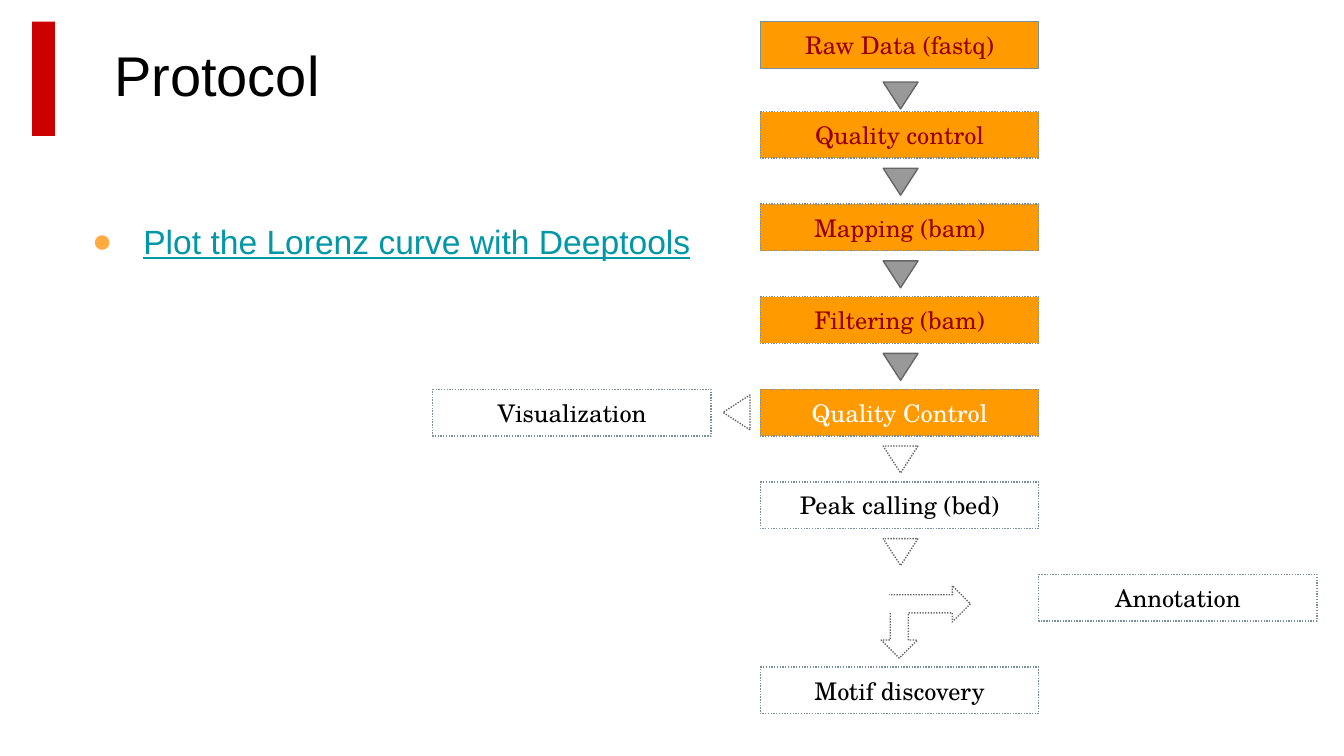
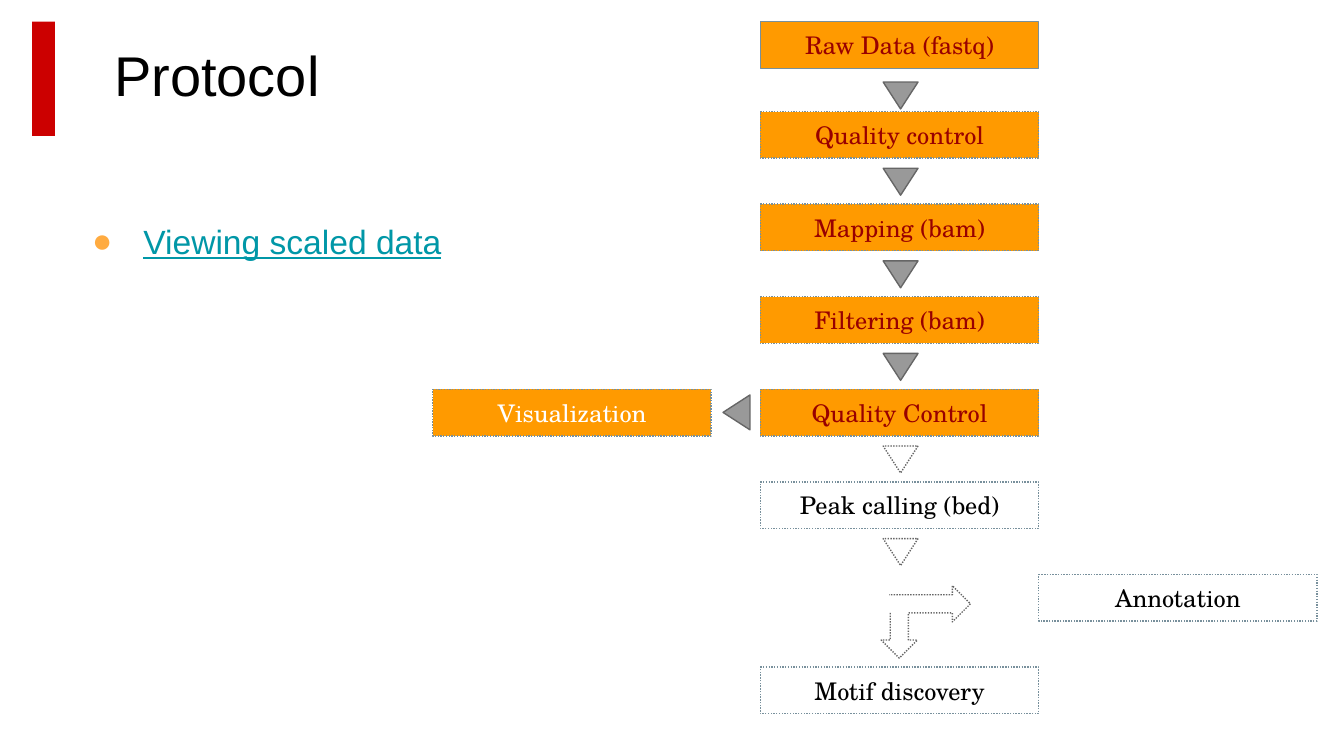
from lxml.etree import SubElement
from pptx import Presentation
from pptx.dml.color import RGBColor
from pptx.enum.dml import MSO_LINE_DASH_STYLE as Dash
from pptx.enum.shapes import MSO_SHAPE as Shape
from pptx.enum.text import MSO_ANCHOR as Anchor, PP_ALIGN as Align
from pptx.oxml.ns import qn
from pptx.util import Cm, Pt

# Colours
rgb = RGBColor.from_string
RED, ORANGE, WHITE, BLACK = "CC0000", "FF9A00", "FFFFFF", "000000"
DARK_RED, TEAL, BULLET = "980000", "0097A7", "FFAB40"
BOX_LINE, ARROW_LINE, ARROW_FILL = "78909C", "666666", "999999"

# Text formats
TITLE_FONT = {"name": "Arial", "size": Pt(30)}
BODY_FONT = {"name": "Arial", "size": Pt(18), "underline": True}
STEP_FONT = {"name": "TeX Gyre Schola", "size": Pt(13)}
WIDE_FRAME = {"margin_left": Cm(0.25), "margin_right": Cm(0.25),
              "margin_top": Cm(0.25), "margin_bottom": Cm(0.25),
              "word_wrap": True}
TITLE_FRAME = {**WIDE_FRAME, "vertical_anchor": Anchor.MIDDLE}
BODY_FRAME = {**WIDE_FRAME, "vertical_anchor": Anchor.TOP}
STEP_FRAME = {**TITLE_FRAME, "margin_top": Cm(0.13), "margin_bottom": Cm(0.13)}

# Flow chart grid, in centimetres
BOX_WIDTH, BOX_HEIGHT = 5.26, 0.88
ARROW_WIDTH, ARROW_HEIGHT = 0.66, 0.51
SPINE, ARROW_LEFT = 14.37, 16.69
FIRST_TOP = 0.41
ROWS = [2.11 + 1.75 * row for row in range(7)]
ARROW_DROP = 1.07

# Steps in working order: text, left, top
STEPS = [
    ("Raw Data (fastq)", SPINE, FIRST_TOP),
    ("Quality control", SPINE, ROWS[0]),
    ("Mapping (bam)", SPINE, ROWS[1]),
    ("Filtering (bam)", SPINE, ROWS[2]),
    ("Quality Control", SPINE, ROWS[3]),
    ("Visualization", 8.18, ROWS[3]),
    ("Peak calling (bed)", SPINE, ROWS[4]),
    ("Annotation", 19.63, ROWS[5]),
    ("Motif discovery", SPINE, ROWS[6]),
]

# Arrows: step led to, left, top, rotation
ARROWS = [
    (1, ARROW_LEFT, 1.55, 180),
    (2, ARROW_LEFT, ROWS[0] + ARROW_DROP, 180),
    (3, ARROW_LEFT, ROWS[1] + ARROW_DROP, 180),
    (4, ARROW_LEFT, ROWS[2] + ARROW_DROP, 180),
    (5, 13.59, 7.54, 270),
    (6, ARROW_LEFT, ROWS[3] + ARROW_DROP, 180),
    (7, ARROW_LEFT, ROWS[4] + ARROW_DROP, 180),
]

# Pages: bullet text, index of the current step
PAGES = [
    ("Plot the Lorenz curve with Deeptools", 4),
    ("Viewing scaled data", 5),
]


def add_block(page, kind, place, fill, line, dotted=False, rotation=0):
    block = page.shapes.add_shape(kind, *map(Cm, place))
    block.shadow.inherit = False
    block.rotation = rotation
    block.fill.solid()
    block.fill.fore_color.rgb = rgb(fill)
    block.line.color.rgb = rgb(line)
    block.line.width = Pt(0.75)
    if dotted:
        block.line.dash_style = Dash.ROUND_DOT
    return block


def write_text(box, text, frame_format, font_format, ink, align=Align.LEFT):
    frame = box.text_frame
    for name, value in frame_format.items():
        setattr(frame, name, value)
    para = frame.paragraphs[0]
    para.alignment = align
    span = para.add_run()
    span.text = text
    for name, value in font_format.items():
        setattr(span.font, name, value)
    span.font.color.rgb = rgb(ink)
    return para


deck = Presentation()
deck.slide_width, deck.slide_height = Cm(25.4), Cm(14.29)

for topic, current in PAGES:
    page = deck.slides.add_slide(deck.slide_layouts[5])

    # Red bar and title
    bar = add_block(page, Shape.RECTANGLE, (0.61, 0.41, 0.43, 2.16), RED, RED)
    bar.line.fill.background()
    title = page.shapes.title
    title.left, title.top, title.width, title.height = map(Cm, (1.91, 0.41, 21.06, 2.16))
    heading = write_text(title, "Protocol", TITLE_FRAME, TITLE_FONT, BLACK)
    heading.line_spacing = 0.9

    # Bulleted topic
    body = page.shapes.add_textbox(*map(Cm, (1.19, 3.81, 23.24, 9.14)))
    para = write_text(body, topic, BODY_FRAME, BODY_FONT, TEAL)
    para.line_spacing = 1.15
    settings = para._p.get_or_add_pPr()
    settings.set("marL", str(Cm(1.27)))
    settings.set("indent", str(-Cm(0.97)))
    bullet_colour = SubElement(settings, qn("a:buClr"))
    SubElement(bullet_colour, qn("a:srgbClr"), val=BULLET)
    SubElement(settings, qn("a:buFont"), typeface="Arial")
    SubElement(settings, qn("a:buChar"), char="●")

    # Step boxes
    for index, (label, left, top) in enumerate(STEPS):
        fill = ORANGE if index <= current else WHITE
        ink = DARK_RED if index < current else WHITE if index == current else BLACK
        box = add_block(page, Shape.FLOWCHART_PROCESS, (left, top, BOX_WIDTH, BOX_HEIGHT),
                        fill, BOX_LINE, dotted=index > 0)
        write_text(box, label, STEP_FRAME, STEP_FONT, ink, Align.CENTER)

    # Arrows between steps
    for target, left, top, rotation in ARROWS:
        reached = target <= current
        add_block(page, Shape.FLOWCHART_EXTRACT, (left, top, ARROW_WIDTH, ARROW_HEIGHT),
                  ARROW_FILL if reached else WHITE, ARROW_LINE, not reached, rotation)

    # Branch to the last two steps, with its left arm covered
    branch = add_block(page, Shape.LEFT_RIGHT_UP_ARROW, (15.65, 11.07, 2.69, 1.37),
                       WHITE, ARROW_LINE, dotted=True, rotation=180)
    for index in range(3):
        branch.adjustments[index] = 0.25
    add_block(page, Shape.RECTANGLE, (15.06, 11.07, 1.73, 0.89), WHITE, WHITE)

deck.save("out.pptx")
